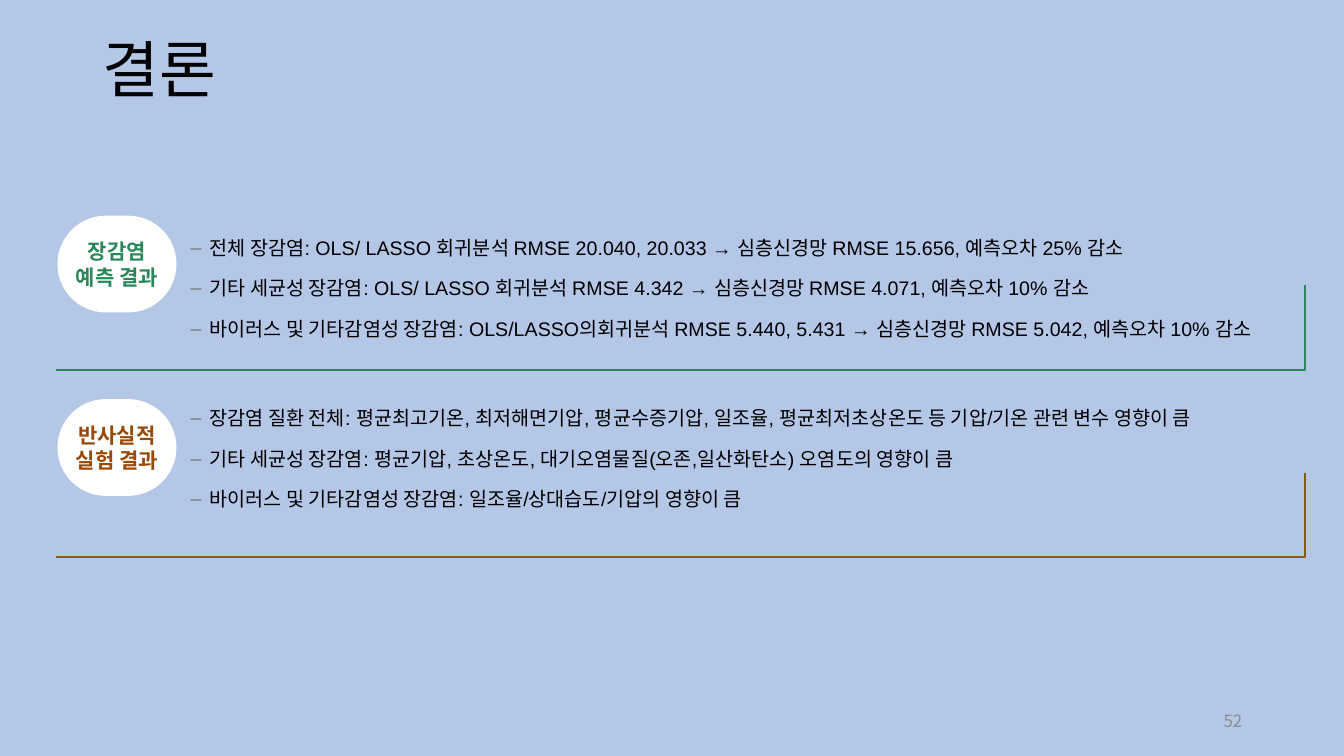
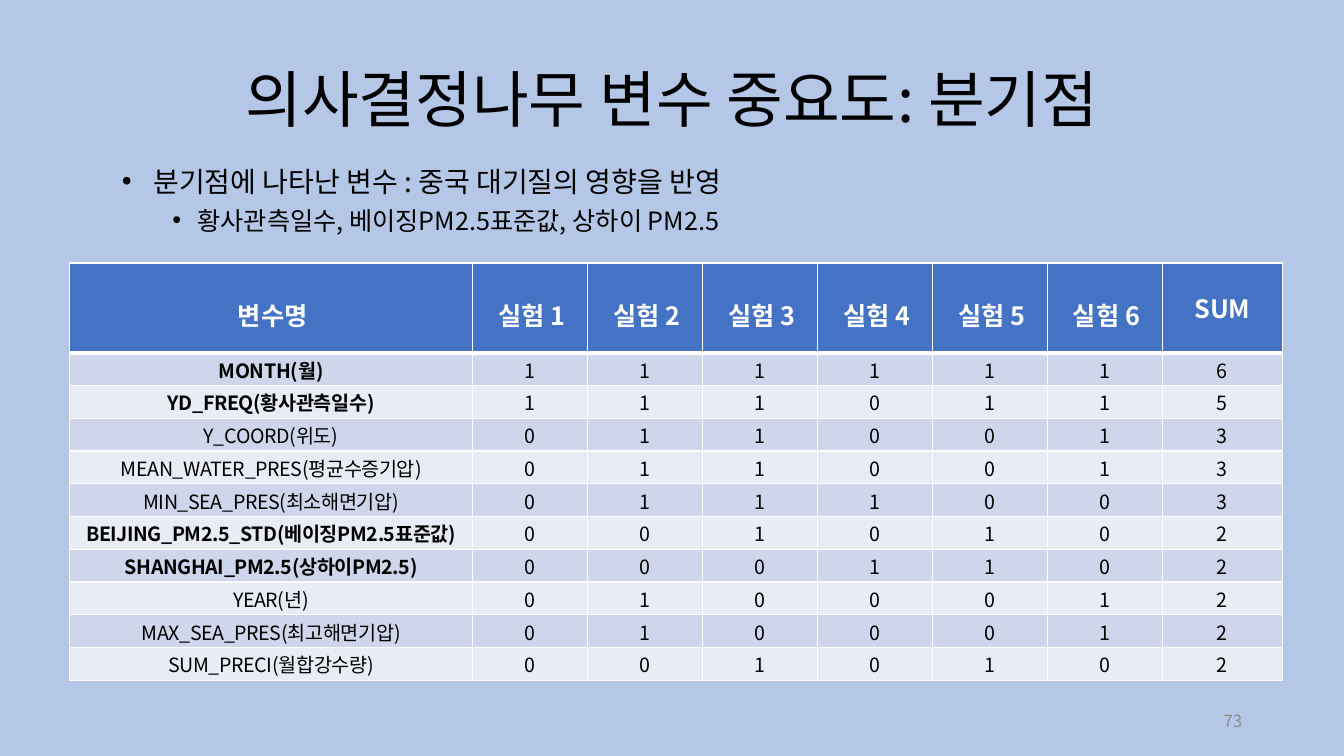
from lxml.etree import SubElement
from pptx import Presentation
from pptx.dml.color import RGBColor
from pptx.enum.shapes import MSO_SHAPE as Preset
from pptx.enum.text import MSO_ANCHOR as Anchor, MSO_AUTO_SIZE as AutoSize, PP_ALIGN as Align
from pptx.oxml.ns import qn
from pptx.util import Inches, Pt

COLORS = {
    "background": "B4C7E7", "text": "000000", "white": "FFFFFF", "number": "8C8C8C",
    "dash": "7C7C7C", "green": "29875A", "orange": "984807", "brown": "806000",
    "header": "4472C4", "band_dark": "CFD5EA", "band_light": "E9EBF5",
}
KOREAN, LATIN = "Noto Sans CJK KR", "Arial"
TWO_CONTENT, TITLE_AND_CONTENT = 3, 1


def rgb(name):
    return RGBColor.from_string(COLORS[name])


def place(shape, box):
    for side, length in zip(("left", "top", "width", "height"), box):
        setattr(shape, side, Inches(length))


def set_attributes(target, **values):
    for name, value in values.items():
        setattr(target, name, value)


class Deck:
    def __init__(self):
        self.prs = Presentation()
        set_attributes(self.prs, slide_width=Inches(13.33), slide_height=Inches(7.5))
        fill = self.prs.slide_master.background.fill
        fill.solid()
        fill.fore_color.rgb = rgb("background")
        self.slide = None

    def add_slide(self, layout, number):
        self.slide = self.prs.slides.add_slide(self.prs.slide_layouts[layout])
        box = self.slide.shapes.add_textbox(*map(Inches, (9.42, 6.95, 3, 0.4)))
        set_attributes(box.text_frame, word_wrap=True, vertical_anchor=Anchor.MIDDLE)
        self.add_text(box.text_frame.paragraphs[0], number, 12, "number", align=Align.RIGHT)

    def add_text(self, paragraph, text, size, color="text", font=KOREAN, bold=False,
                 align=Align.LEFT, spacing=1.0, tracking=None):
        set_attributes(paragraph, alignment=align, line_spacing=spacing)
        run = paragraph.add_run()
        run.text = text
        set_attributes(run.font, size=Pt(size), bold=bold, name=font)
        run.font.color.rgb = rgb(color)
        properties = run._r.get_or_add_rPr()
        if tracking is not None:
            properties.set("spc", str(tracking))
        SubElement(properties, qn("a:ea"), typeface=KOREAN)

    def title(self, text, box, anchor, align, spacing):
        title = self.slide.shapes.title
        place(title, box)
        set_attributes(title.text_frame, auto_size=AutoSize.NONE, vertical_anchor=anchor)
        self.add_text(title.text_frame.paragraphs[0], text, 44, align=align, spacing=spacing)

    def bullet(self, paragraph, char, margin, hanging, color):
        properties = paragraph._p.get_or_add_pPr()
        properties.set("marL", str(Inches(margin)))
        properties.set("indent", str(-Inches(hanging)))
        bullet_color = SubElement(properties, qn("a:buClr"))
        SubElement(bullet_color, qn("a:srgbClr"), val=COLORS[color])
        SubElement(properties, qn("a:buFont"), typeface=LATIN)
        SubElement(properties, qn("a:buChar"), char=char)

    def body(self, index, box, items, char, before, after=0, color="text",
             font=KOREAN, inset=0.05):
        """Fill a body placeholder; items are (text, level, size, margin, hanging)."""
        body = self.slide.placeholders[index]
        place(body, box)
        frame = body.text_frame
        set_attributes(frame, auto_size=AutoSize.NONE, vertical_anchor=Anchor.TOP,
                       margin_top=Inches(inset), margin_bottom=Inches(inset))
        for i, (text, level, size, margin, hanging) in enumerate(items):
            paragraph = frame.add_paragraph() if i else frame.paragraphs[0]
            set_attributes(paragraph, level=level, line_spacing=1.0,
                           space_before=Pt(before if i else 0), space_after=Pt(after))
            self.bullet(paragraph, char, margin, hanging, color)
            self.add_text(paragraph, text, size, font=font)

    def pill(self, text, top, color):
        pill = self.slide.shapes.add_shape(
            Preset.ROUNDED_RECTANGLE, *map(Inches, (0.57, top, 1.18, 0.96)))
        pill.adjustments[0] = 0.5
        pill.shadow.inherit = False
        pill.fill.solid()
        pill.fill.fore_color.rgb = rgb("white")
        pill.line.fill.background()
        set_attributes(pill.text_frame, word_wrap=True, vertical_anchor=Anchor.MIDDLE,
                       margin_left=0, margin_right=0)
        self.add_text(pill.text_frame.paragraphs[0], text, 15, color, LATIN, True, Align.CENTER)

    def corner_line(self, bottom, color):
        left, right, rise = 0.56, 12.94, 0.84
        builder = self.slide.shapes.build_freeform(Inches(left), Inches(bottom))
        builder.add_line_segments(
            [(Inches(right), Inches(bottom)), (Inches(right), Inches(bottom - rise))],
            close=False)
        corner = builder.convert_to_shape()
        corner.shadow.inherit = False
        corner.fill.background()
        corner.line.color.rgb = rgb(color)
        corner.line.width = Pt(1.5)

    def cell(self, cell, text, fill, insets, bottom_line=1, indent=0, **style):
        sides = ("margin_left", "margin_top", "margin_right", "margin_bottom")
        set_attributes(cell, vertical_anchor=Anchor.MIDDLE,
                       **dict(zip(sides, map(Inches, insets))))
        paragraph = cell.text_frame.paragraphs[0]
        if indent:
            paragraph._p.get_or_add_pPr().set("marL", str(Inches(indent)))
        self.add_text(paragraph, text, align=Align.CENTER, **style)
        properties = cell._tc.get_or_add_tcPr()
        for tag, width in (("lnL", 1), ("lnR", 1), ("lnT", 1), ("lnB", bottom_line)):
            line = SubElement(properties, qn(f"a:{tag}"), w=str(Pt(width)))
            SubElement(SubElement(line, qn("a:solidFill")), qn("a:srgbClr"),
                       val=COLORS["white"])
        cell.fill.solid()
        cell.fill.fore_color.rgb = rgb(fill)

    def table(self, box, header, rows, widths, header_height, bold_rows):
        table = self.slide.shapes.add_table(
            len(rows) + 1, len(header), *map(Inches, box)).table
        for column, width in zip(table.columns, widths):
            column.width = Inches(width)
        row_height = (box[3] - header_height) / len(rows)
        for i, row in enumerate(table.rows):
            row.height = Inches(row_height if i else header_height)
        for column, text in enumerate(header):
            is_sum = column == len(header) - 1
            self.cell(table.cell(0, column), text, "header", (0.07, 0.02, 0.07, 0.02),
                      bottom_line=3, indent=0 if is_sum else 0.03, size=18, color="white",
                      bold=True, spacing=1.0 if is_sum else 1.35)
        for i, values in enumerate(rows, 1):
            for column, value in enumerate(values):
                self.cell(table.cell(i, column), str(value),
                          "band_dark" if i % 2 else "band_light", (0.01, 0.01, 0.01, 0),
                          size=14, bold=column == 0 and value in bold_rows, tracking=-30)


FINDINGS = [
    ("장감염 예측 결과", "green", 2.14, "green", 3.67, (1.79, 2.29, 11, 1.38), [
        "전체 장감염: OLS/ LASSO 회귀분석 RMSE 20.040, 20.033 → 심층신경망 RMSE 15.656, 예측오차 25% 감소",
        "기타 세균성 장감염: OLS/ LASSO 회귀분석 RMSE 4.342 → 심층신경망 RMSE 4.071, 예측오차 10% 감소",
        "바이러스 및 기타감염성 장감염: OLS/LASSO의회귀분석 RMSE 5.440, 5.431 → 심층신경망 RMSE 5.042, 예측오차 10% 감소",
    ]),
    ("반사실적 실험 결과", "orange", 3.96, "brown", 5.53, (1.79, 3.98, 10.71, 1.38), [
        "장감염 질환 전체: 평균최고기온, 최저해면기압, 평균수증기압, 일조율, 평균최저초상온도 등 기압/기온 관련 변수 영향이 큼",
        "기타 세균성 장감염: 평균기압, 초상온도, 대기오염물질(오존,일산화탄소) 오염도의 영향이 큼",
        "바이러스 및 기타감염성 장감염: 일조율/상대습도/기압의 영향이 큼",
    ]),
]
SPLITS = {
    "MONTH(월)": (1, 1, 1, 1, 1, 1),
    "YD_FREQ(황사관측일수)": (1, 1, 1, 0, 1, 1),
    "Y_COORD(위도)": (0, 1, 1, 0, 0, 1),
    "MEAN_WATER_PRES(평균수증기압)": (0, 1, 1, 0, 0, 1),
    "MIN_SEA_PRES(최소해면기압)": (0, 1, 1, 1, 0, 0),
    "BEIJING_PM2.5_STD(베이징PM2.5표준값)": (0, 0, 1, 0, 1, 0),
    "SHANGHAI_PM2.5(상하이PM2.5)": (0, 0, 0, 1, 1, 0),
    "YEAR(년)": (0, 1, 0, 0, 0, 1),
    "MAX_SEA_PRES(최고해면기압)": (0, 1, 0, 0, 0, 1),
    "SUM_PRECI(월합강수량)": (0, 0, 1, 0, 1, 0),
}
KEY_VARIABLES = {
    "MONTH(월)", "YD_FREQ(황사관측일수)",
    "BEIJING_PM2.5_STD(베이징PM2.5표준값)", "SHANGHAI_PM2.5(상하이PM2.5)",
}


def conclusion(deck):
    deck.add_slide(TWO_CONTENT, "52")
    deck.title("결론", (0.92, -0.01, 11.69, 1.45), Anchor.MIDDLE, Align.LEFT, 0.9)
    for index, finding in enumerate(FINDINGS, 1):
        label, label_color, label_top, line_color, line_bottom, box, points = finding
        deck.pill(label, label_top, label_color)
        deck.corner_line(line_bottom, line_color)
        deck.body(index, box, [(point, 1, 14, 0.19, 0.19) for point in points],
                  "–", before=6, after=6, color="dash", font=LATIN)


def variable_importance(deck):
    deck.add_slide(TITLE_AND_CONTENT, "73")
    deck.title("의사결정나무 변수 중요도: 분기점", (1.85, 0.18, 9.63, 1.21),
               Anchor.MIDDLE, Align.CENTER, 1.5)
    deck.body(1, (0.61, 1.55, 12.11, 0.86), [
        ("분기점에 나타난 변수 : 중국 대기질의 영향을 반영", 1, 20, 0.81, 0.31),
        ("황사관측일수, 베이징PM2.5표준값, 상하이 PM2.5", 2, 18, 1.25, 0.25),
    ], "•", before=5, inset=0.08)
    header = ["변수명", *(f"실험 {trial}" for trial in range(1, 7)), "SUM"]
    rows = [(name, *splits, sum(splits)) for name, splits in SPLITS.items()]
    deck.table((0.69, 2.61, 12.05, 4.14), header, rows, [4, *[1.14] * 6, 1.19],
               0.89, KEY_VARIABLES)


def main():
    deck = Deck()
    conclusion(deck)
    variable_importance(deck)
    deck.prs.save("out.pptx")


if __name__ == "__main__":
    main()
